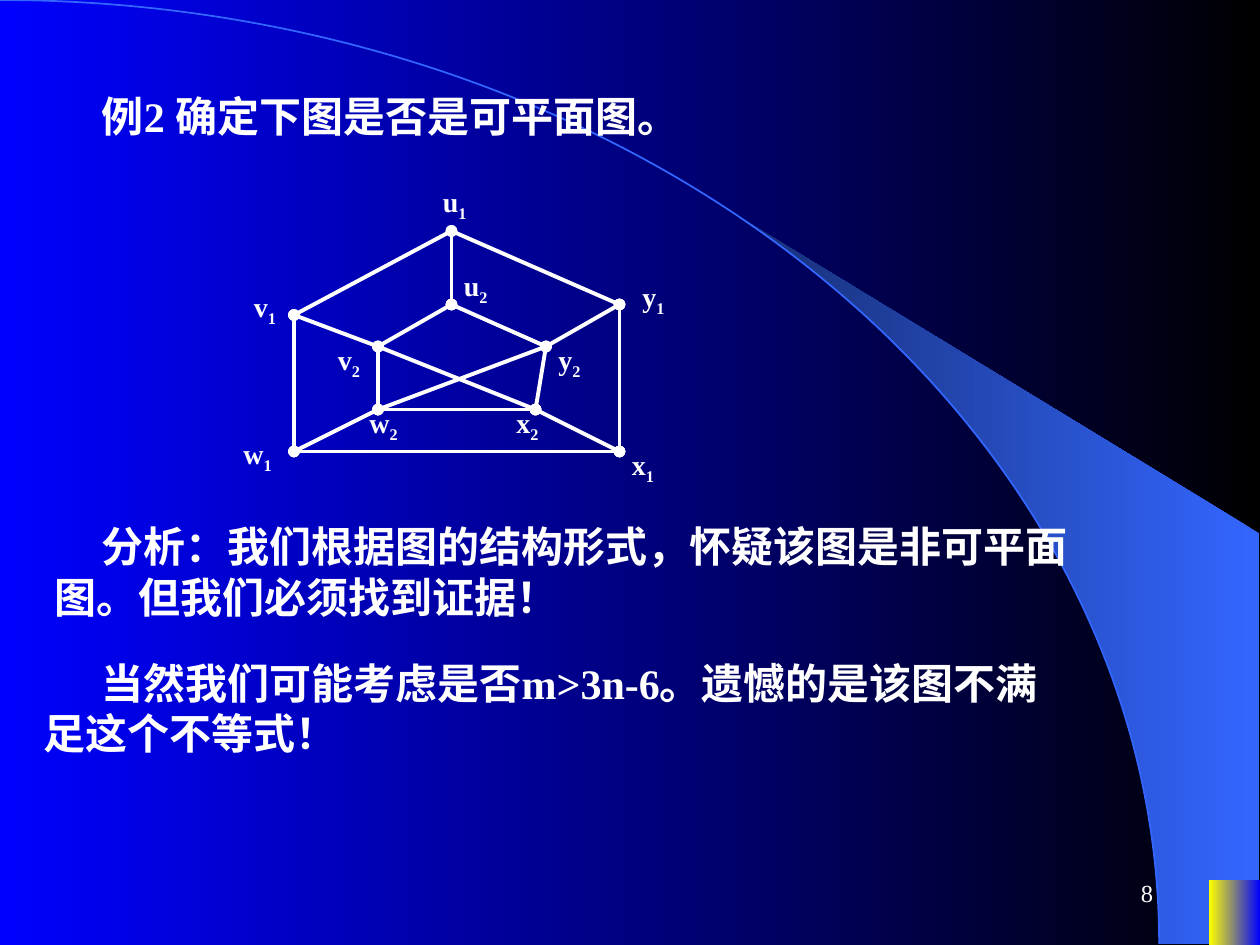
from dataclasses import dataclass
from math import asin, cos, pi, sin

from lxml import etree
from pptx import Presentation
from pptx import util as u
from pptx.dml import color
from pptx.enum import shapes, text
from pptx.oxml import ns

FONT = "Times New Roman"
WHITE = "FFFFFF"
BLUE = "3366FF"
ARC_WIDTH, ARC_HEIGHT = 662.4, 539.3
CRESCENT_STEPS = 24


@dataclass
class Vertex:
    letter: str
    subscript: str
    x: float
    y: float
    label_x: float
    label_y: float
    label_width: float = 31


@dataclass
class Passage:
    content: str
    left: float
    top: float
    height: float
    indent: float


VERTICES = [
    Vertex("u", "1", 258, 132, 246, 102),
    Vertex("u", "2", 258, 174, 258, 150),
    Vertex("v", "1", 168, 180, 138, 162),
    Vertex("v", "2", 216, 198, 186, 192),
    Vertex("y", "1", 354, 174, 360, 156),
    Vertex("y", "2", 312, 198, 312, 192),
    Vertex("x", "1", 354, 258, 354, 252),
    Vertex("x", "2", 306, 234, 288, 228),
    Vertex("w", "1", 168, 258, 132, 246, 36),
    Vertex("w", "2", 216, 234, 204, 228, 36),
]
EDGES = (
    "u1-v1 u1-y1 v1-w1 w1-x1 y1-x1 u2-v2 u2-y2 v2-w2 w2-x2 "
    "y2-x2 y1-y2 y2-w2 w2-w1 v1-v2 v2-x2 x2-x1 u1-u2"
).split()
TITLE = Passage("例2 确定下图是否是可平面图。", 24, 48, 36, 27)
PASSAGES = [
    Passage("分析：我们根据图的结构形式，怀疑该图是非可平面图。但我们必须找到证据！", 24, 294, 65, 27),
    Passage("当然我们可能考虑是否m>3n-6。遗憾的是该图不满足这个不等式！", 18, 372, 65, 33),
]


def rgb(value: str) -> color.RGBColor:
    return color.RGBColor.from_string(value)


def fill_gradient(fill, first: str, last: str) -> None:
    fill.gradient()
    fill.gradient_angle = 180
    for stop, value in zip(fill.gradient_stops, (first, last)):
        stop.color.rgb = rgb(value)


def place(shape, left: float, top: float, width: float, height: float) -> None:
    shape.left, shape.top = u.Pt(left), u.Pt(top)
    shape.width, shape.height = u.Pt(width), u.Pt(height)


def format_run(run, size: float, bold: bool = True) -> None:
    run.font.name = FONT
    run.font.size = u.Pt(size)
    run.font.bold = bold
    run.font.color.rgb = rgb(WHITE)


def add_text_box(slide, left: float, top: float, width: float, height: float):
    shape = slide.shapes.add_textbox(u.Pt(left), u.Pt(top), u.Pt(width), u.Pt(height))
    shape.text_frame.word_wrap = True
    return shape


def write_passage(shape, passage: Passage) -> None:
    place(shape, passage.left, passage.top, 594, passage.height)
    frame = shape.text_frame
    frame.text = passage.content
    frame.word_wrap = True
    frame.auto_size = text.MSO_AUTO_SIZE.NONE
    frame.vertical_anchor = text.MSO_ANCHOR.TOP
    paragraph = frame.paragraphs[0]
    paragraph.alignment = text.PP_ALIGN.LEFT
    paragraph._p.get_or_add_pPr().set("indent", str(u.Pt(passage.indent)))
    format_run(paragraph.runs[0], 24)


def draw_backdrop(slide) -> None:
    fill_gradient(slide.background.fill, "000000", "0000FF")

    start = asin(424 / ARC_WIDTH)
    angles = [start + (pi / 2 - start) * i / CRESCENT_STEPS for i in range(CRESCENT_STEPS + 1)]
    curve = [(ARC_WIDTH * sin(a), ARC_HEIGHT * (1 - cos(a))) for a in angles]
    corners = [(719.3, ARC_HEIGHT), (719.3, 304.6)]
    points = [(u.Pt(x), u.Pt(y)) for x, y in curve + corners]
    builder = slide.shapes.build_freeform(*points[0])
    builder.add_line_segments(points[1:], close=True)
    crescent = builder.convert_to_shape()
    crescent.shadow.inherit = False
    fill_gradient(crescent.fill, BLUE, "172F75")
    crescent.line.fill.background()

    arc = slide.shapes.add_shape(
        shapes.MSO_SHAPE.ARC, u.Pt(-ARC_WIDTH), 0, u.Pt(2 * ARC_WIDTH), u.Pt(2 * ARC_HEIGHT)
    )
    arc.shadow.inherit = False
    arc.fill.background()
    arc.line.color.rgb = rgb(BLUE)
    arc.line.width = u.Pt(1)

    corner = slide.shapes.add_shape(
        shapes.MSO_SHAPE.RECTANGLE, u.Pt(691), u.Pt(502.8), u.Pt(29), u.Pt(37.2)
    )
    corner.shadow.inherit = False
    fill_gradient(corner.fill, "0000FF", "FFFF00")
    corner.line.fill.background()


def draw_edge(slide, start: Vertex, end: Vertex) -> None:
    edge = slide.shapes.add_connector(
        shapes.MSO_CONNECTOR.STRAIGHT, u.Pt(start.x), u.Pt(start.y), u.Pt(end.x), u.Pt(end.y)
    )
    edge.line.color.rgb = rgb(WHITE)
    edge.line.width = u.Pt(2.25)
    line = edge.line._get_or_add_ln()
    for tag in ("a:headEnd", "a:tailEnd"):
        etree.SubElement(line, ns.qn(tag), type="oval")
    etree.SubElement(edge._element.spPr, ns.qn("a:effectLst"))


def draw_label(slide, vertex: Vertex) -> None:
    label = add_text_box(slide, vertex.label_x, vertex.label_y, vertex.label_width, 29.5)
    paragraph = label.text_frame.paragraphs[0]
    for content in (vertex.letter, vertex.subscript):
        run = paragraph.add_run()
        run.text = content
        format_run(run, 16)
    run.font._element.set("baseline", "-25000")


def draw_page_number(slide, number: str) -> None:
    shape = add_text_box(slide, 516, 492, 150, 36)
    shape.text_frame.text = number
    shape.text_frame.vertical_anchor = text.MSO_ANCHOR.MIDDLE
    paragraph = shape.text_frame.paragraphs[0]
    paragraph.alignment = text.PP_ALIGN.RIGHT
    format_run(paragraph.runs[0], 14, bold=False)


def main() -> None:
    presentation = Presentation()
    presentation.slide_width, presentation.slide_height = u.Pt(720), u.Pt(540)
    slide = presentation.slides.add_slide(presentation.slide_layouts[5])
    draw_backdrop(slide)

    title = slide.shapes.title
    slide.shapes._spTree.append(title._element)
    write_passage(title, TITLE)

    vertices = {v.letter + v.subscript: v for v in VERTICES}
    for edge in EDGES:
        start, end = edge.split("-")
        draw_edge(slide, vertices[start], vertices[end])
    for vertex in VERTICES:
        draw_label(slide, vertex)
    for passage in PASSAGES:
        box = add_text_box(slide, passage.left, passage.top, 594, passage.height)
        write_passage(box, passage)
    draw_page_number(slide, "8")
    presentation.save("out.pptx")


if __name__ == "__main__":
    main()
